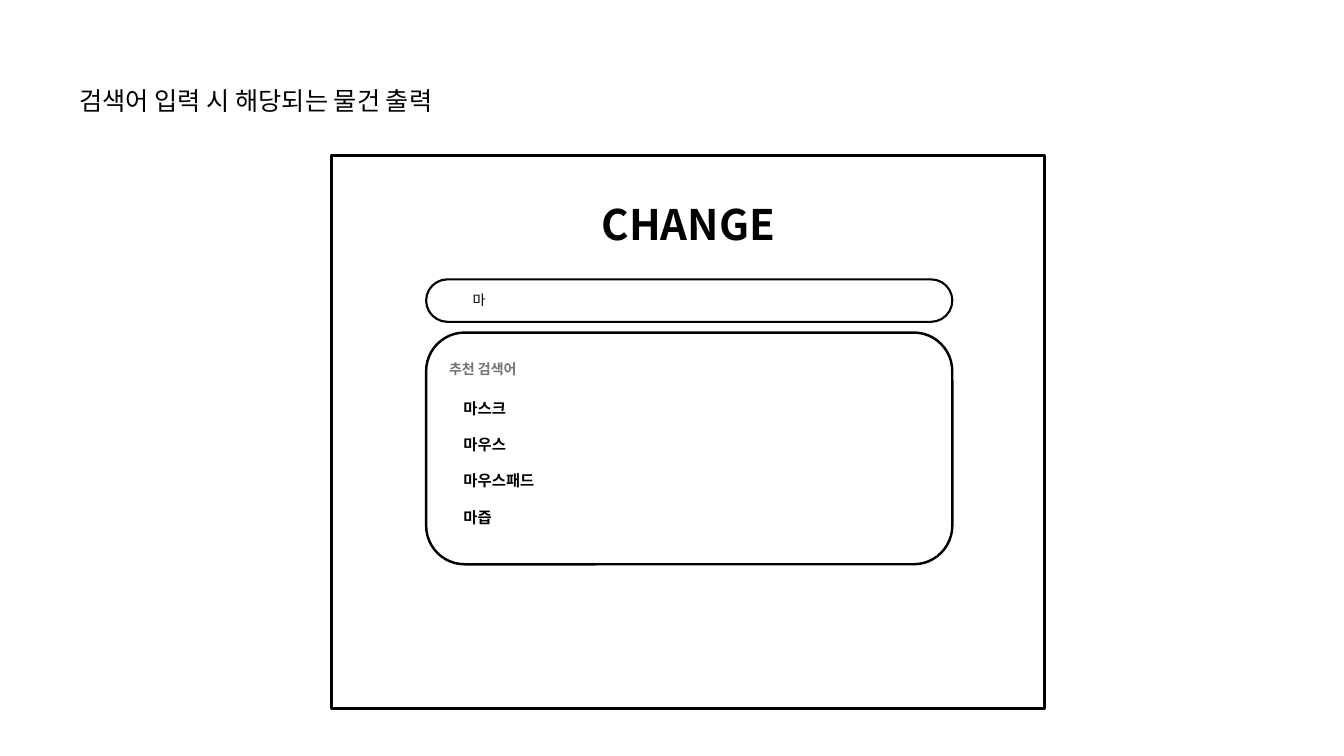
"""Builds a slide showing search suggestions for a typed keyword."""
from lxml.etree import SubElement
from pptx import Presentation
from pptx.dml.color import RGBColor
from pptx.enum.shapes import MSO_SHAPE as Shape
from pptx.enum.text import MSO_ANCHOR as Anchor, MSO_AUTO_SIZE as AutoSize, PP_ALIGN as Align
from pptx.oxml.ns import qn
from pptx.util import Cm, Pt

FONT = "Noto Sans CJK KR"
COLORS = {"ink": "000000", "muted": "767171", "paper": "FFFFFF"}

HEADING = "검색어 입력 시 해당되는 물건 출력"
SITE_NAME = "CHANGE"
QUERY = "마"
SUGGESTION_LABEL = "추천 검색어"
SUGGESTIONS = [("마스크", 1.68), ("마우스", 1.68), ("마우스패드", 2.46), ("마즙", 1.3)]

WINDOW = (8.36, 3.91, 17.96, 13.94)
SEARCH_BAR = (10.74, 7.04, 13.26, 1.07)
SUGGESTION_PANEL = (10.74, 8.38, 13.26, 5.84)
LIST_LEFT, LIST_TOP, ROW_HEIGHT, ROW_STEP = 11.43, 9.93, 0.74, 0.914


def color(name):
    return RGBColor.from_string(COLORS[name])


def add_frame(slide, kind, area, line_width, filled=True):
    frame = slide.shapes.add_shape(kind, *map(Cm, area))
    frame.shadow.inherit = False
    if filled:
        frame.fill.solid()
        frame.fill.fore_color.rgb = color("paper")
    else:
        frame.fill.background()
    frame.line.color.rgb = color("ink")
    frame.line.width = Pt(line_width)
    return frame


def write(box, area, text, size, bold=False, ink="ink", align=Align.LEFT):
    box.left, box.top, box.width, box.height = map(Cm, area)
    frame = box.text_frame
    frame.word_wrap = False
    frame.auto_size = AutoSize.SHAPE_TO_FIT_TEXT
    frame.vertical_anchor = Anchor.TOP
    para = frame.paragraphs[0]
    para.alignment = align
    span = para.add_run()
    span.text = text
    span.font.name = FONT
    span.font.size = Pt(size)
    span.font.bold = bold
    span.font.color.rgb = color(ink)
    SubElement(span.font._element, qn("a:ea"), typeface=FONT)


def add_text(slide, area, *content, **style):
    write(slide.shapes.add_textbox(*map(Cm, area)), area, *content, **style)


def main():
    deck = Presentation()
    deck.slide_width, deck.slide_height = Cm(33.87), Cm(19.05)
    slide = deck.slides.add_slide(deck.slide_layouts[5])
    write(slide.shapes.title, (1.75, 2.03, 10.62, 1.02), HEADING, 18)

    add_frame(slide, Shape.RECTANGLE, WINDOW, 2, filled=False)
    add_text(slide, (14.86, 4.88, 4.98, 1.55), SITE_NAME, 30, bold=True, align=Align.CENTER)

    search_bar = add_frame(slide, Shape.ROUNDED_RECTANGLE, SEARCH_BAR, 1.5)
    search_bar.adjustments[0] = 0.5
    add_text(slide, (11.66, 7.21, 0.86, 0.69), QUERY, 10)

    add_frame(slide, Shape.FLOWCHART_ALTERNATE_PROCESS, SUGGESTION_PANEL, 1.75)
    add_text(slide, (11.07, 8.97, 2.41, 0.69), SUGGESTION_LABEL, 10, bold=True, ink="muted")
    for row, (word, width) in enumerate(SUGGESTIONS):
        area = (LIST_LEFT, LIST_TOP + row * ROW_STEP, width, ROW_HEIGHT)
        add_text(slide, area, word, 11, bold=True)

    deck.save("out.pptx")


if __name__ == "__main__":
    main()
